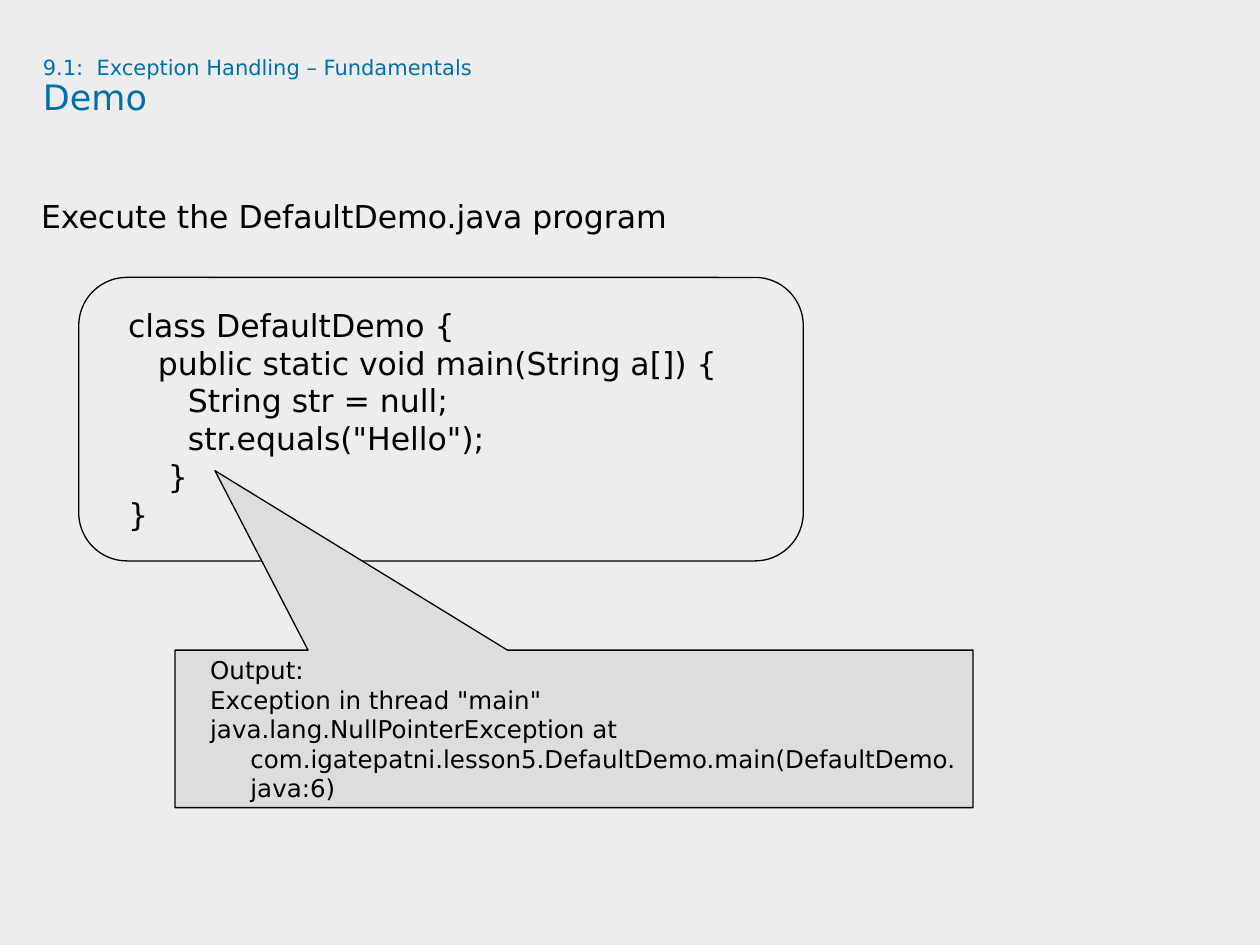
from pptx import Presentation
from pptx.dml.color import RGBColor
from pptx.enum.shapes import MSO_SHAPE as SHAPE
from pptx.enum.text import MSO_ANCHOR as ANCHOR, MSO_AUTO_SIZE as AUTO, PP_ALIGN as ALIGN
from pptx.util import Pt

FONT = "DejaVu Sans"
BLACK, BLUE, PAGE, GREY = "000000", "0070AD", "EDEDED", "DDDDDD"

CODE = [
    "class DefaultDemo {",
    "   public static void main(String a[]) {",
    "      String str = null;",
    "      str.equals(\"Hello\");",
    "    }",
    "}",
]
OUTPUT = [
    "Output:",
    "Exception in thread \"main\"",
    "java.lang.NullPointerException at "
    "com.igatepatni.lesson5.DefaultDemo.main(DefaultDemo.java:6)",
]


def color(value):
    """Return the colour for a hex string."""
    return RGBColor.from_string(value)


def add_run(p, text, size, value=BLACK):
    """Append one formatted run to a paragraph."""
    r = p.add_run()
    r.text = text
    r.font.name = FONT
    r.font.size = Pt(size)
    r.font.color.rgb = color(value)


def set_frame(tf, inset_x, inset_y, anchor, wrap=True):
    """Set the insets, anchor and wrapping of a text frame."""
    tf.auto_size = AUTO.NONE
    tf.margin_left = tf.margin_right = Pt(inset_x)
    tf.margin_top = tf.margin_bottom = Pt(inset_y)
    tf.vertical_anchor = anchor
    tf.word_wrap = wrap


def set_title(s, section, heading):
    """Place the title with a small section line above the heading."""
    sp = s.shapes.title
    sp.left, sp.top, sp.width, sp.height = Pt(24.5), Pt(33), Pt(654.5), Pt(67.5)
    set_frame(sp.text_frame, 0, 0, ANCHOR.TOP)
    p = sp.text_frame.paragraphs[0]
    p.alignment = ALIGN.LEFT
    p.line_spacing = 0.9
    add_run(p, section, 12, BLUE)
    p.add_line_break()
    add_run(p, heading, 20, BLUE)


def add_body(s, text):
    """Add the instruction line."""
    sp = s.shapes.add_textbox(Pt(23.5), Pt(117.5), Pt(523.5), Pt(366))
    set_frame(sp.text_frame, 0, 0, ANCHOR.TOP)
    p = sp.text_frame.paragraphs[0]
    p.line_spacing = Pt(16.5)
    p.space_after = Pt(4.5)
    add_run(p, text, 18)


def add_panel(s, kind, box, adjustments, lines, size, fill=None, wrap=True):
    """Add an outlined shape holding lines with a hanging indent."""
    sp = s.shapes.add_shape(kind, *map(Pt, box))
    sp.shadow.inherit = False
    for i, value in enumerate(adjustments):
        sp.adjustments[i] = value
    if fill:
        sp.fill.solid()
        sp.fill.fore_color.rgb = color(fill)
    else:
        sp.fill.background()
    sp.line.color.rgb = color(BLACK)
    sp.line.width = Pt(0.75)
    tf = sp.text_frame
    set_frame(tf, 7.2, 3.6, ANCHOR.MIDDLE, wrap)
    for i, line in enumerate(lines):
        p = tf.add_paragraph() if i else tf.paragraphs[0]
        p.alignment = ALIGN.LEFT
        pPr = p._p.get_or_add_pPr()
        pPr.set("marL", str(Pt(36)))
        pPr.set("indent", str(Pt(-23)))
        add_run(p, line, size)


def main():
    """Build the demo slide."""
    prs = Presentation()
    prs.slide_width, prs.slide_height = Pt(720), Pt(540)
    s = prs.slides.add_slide(prs.slide_layouts[5])
    s.background.fill.solid()
    s.background.fill.fore_color.rgb = color(PAGE)
    set_title(s, "9.1:  Exception Handling – Fundamentals", "Demo")
    add_body(s, "Execute the DefaultDemo.java program")
    add_panel(s, SHAPE.ROUNDED_RECTANGLE, (45, 158.5, 414, 162), [0.17],
              CODE, 18, wrap=False)
    add_panel(s, SHAPE.RECTANGULAR_CALLOUT, (100, 371.5, 456, 90), [-0.45, -1.64],
              OUTPUT, 14, fill=GREY)
    prs.save("out.pptx")


if __name__ == "__main__":
    main()
